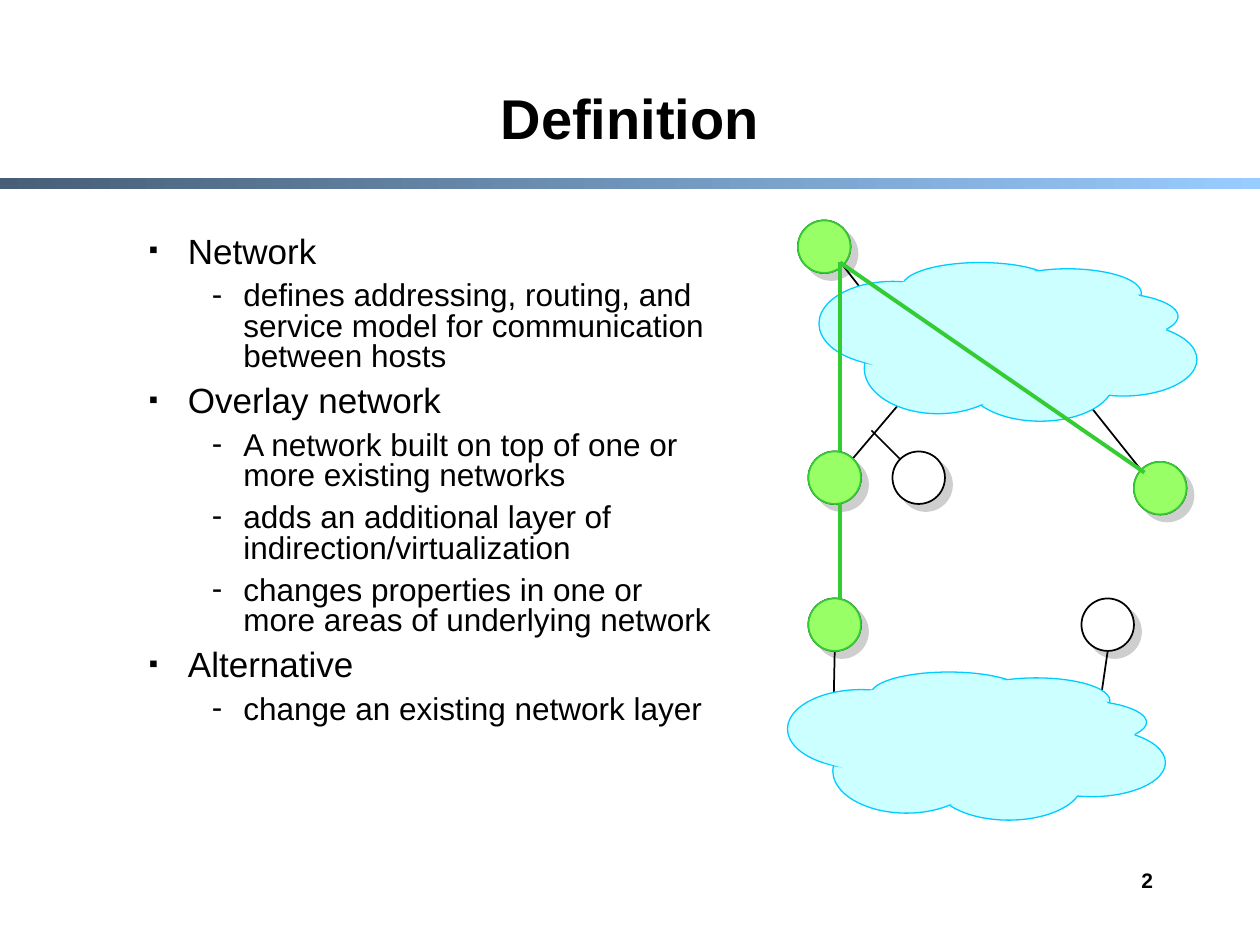
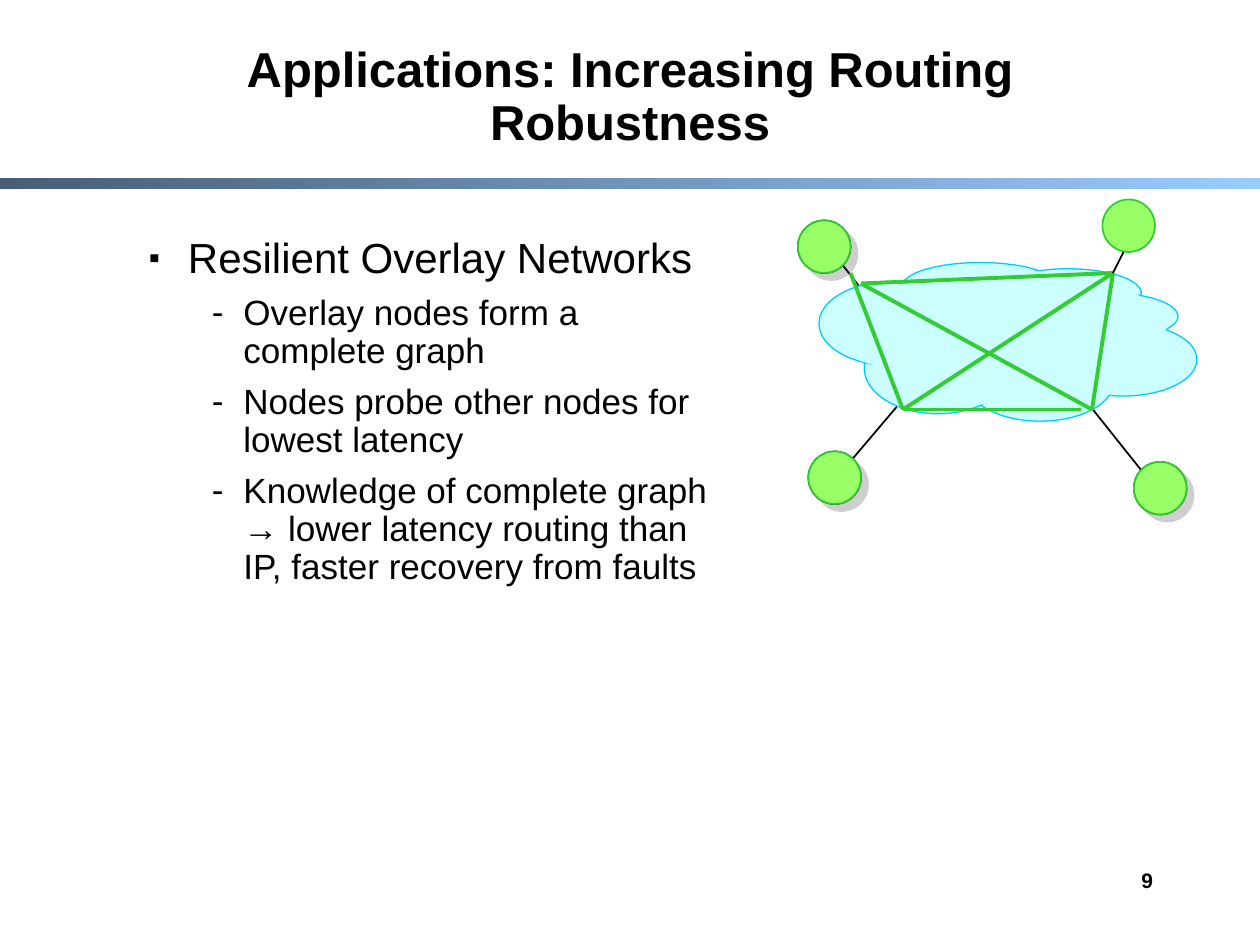
from lxml.etree import SubElement
from pptx import Presentation
from pptx.dml.color import RGBColor
from pptx.enum.shapes import MSO_CONNECTOR, MSO_SHAPE
from pptx.enum.text import MSO_ANCHOR, PP_ALIGN
from pptx.oxml.ns import qn
from pptx.util import Emu, Inches, Pt

# Grid: 120 columns by 90 rows, each cell 1/12 inch
COLS, ROWS = 120, 90
WIDTH, HEIGHT = Inches(10), Inches(7.5)
FONT = "Arial"
BLACK, WHITE = "000000", "FFFFFF"
NODE, LINK = "99FF66", "33CC33"
CLOUD, CLOUD_EDGE = "CCFFFF", "00CCFF"
SHADOW = "CECECE"
BAND = ("475E76", "99CCFF")
NODE_SIZE = 5

# Bullet styles by level: character, size in percent, left margin and indent in inches
BULLETS = (("▪", 75, 0.31, -0.31), ("-", 100, 0.75, -0.25))

# Cloud geometry in percent of the cloud's box
LOBES = (
    (22, 0, 41.3, 30.4), (46.3, 4, 39, 31), (56, 19, 39, 30.4),
    (61, 38.4, 39, 46.4), (39, 50.4, 39, 50.4), (12, 38.4, 39, 57.6),
    (0, 12, 39, 53.6),
)
CORE = (
    (12.3, 19), (29.3, 7.8), (44, 3.8), (73, 7.8), (83, 15.8), (87.7, 31),
    (92.7, 35), (87.7, 77.4), (56, 96.6), (24.3, 80.6), (14.7, 65.4), (9.7, 61.4),
)

# Node positions (column, row) of the upper network
NORTH_WEST, SOUTH_WEST, SOUTH_EAST = (76, 21), (77, 43), (108, 44)
UPPER_CLOUD = (78, 25, 36, 15)
LOWER_CLOUD = (75, 64, 36, 14)


def rgb(value):
    return RGBColor.from_string(value)


class Deck:
    """Holds the style and the current slide; lengths are grid cells."""

    def __init__(self):
        self.prs = Presentation()
        self.prs.slide_width, self.prs.slide_height = WIDTH, HEIGHT
        self.s = None

    def x(self, col):
        return Emu(round(WIDTH * col / COLS))

    def y(self, row):
        return Emu(round(HEIGHT * row / ROWS))

    def box(self, col, row, cols, rows):
        return self.x(col), self.y(row), self.x(cols), self.y(rows)

    def slide(self, title, size, number):
        """Start a slide with its band, page number and title."""
        self.s = self.prs.slides.add_slide(self.prs.slide_layouts[6])
        self.s.background.fill.solid()
        self.s.background.fill.fore_color.rgb = rgb(WHITE)
        self.band()
        tf = self.text_frame(86, 82, 25, 6)
        self.add_text(tf.paragraphs[0], number, 12, True, alignment=PP_ALIGN.RIGHT)
        tf = self.text_frame(13, 4, 94, 11, MSO_ANCHOR.BOTTOM)
        self.add_text(tf.paragraphs[0], title, size, True,
                      alignment=PP_ALIGN.CENTER, line_spacing=0.9)

    def band(self):
        sp = self.s.shapes.add_shape(MSO_SHAPE.RECTANGLE, *self.box(0, 17, COLS, 1))
        sp.shadow.inherit = False
        sp.line.fill.background()
        sp.fill.gradient()
        sp.fill.gradient_angle = 0
        for stop, color in zip(sp.fill.gradient_stops, BAND):
            stop.color.rgb = rgb(color)

    def text_frame(self, col, row, cols, rows, anchor=MSO_ANCHOR.TOP):
        tf = self.s.shapes.add_textbox(*self.box(col, row, cols, rows)).text_frame
        tf.word_wrap = True
        tf.vertical_anchor = anchor
        return tf

    def add_text(self, p, text, size, bold=False, **paragraph_format):
        for name, value in paragraph_format.items():
            setattr(p, name, value)
        r = p.add_run()
        r.text = text
        font = {"name": FONT, "size": Pt(size), "bold": bold}
        for name, value in font.items():
            setattr(r.font, name, value)
        r.font.color.rgb = rgb(BLACK)

    def body(self, items, sizes, spacing, before):
        """Bulleted text; items are (level, text)."""
        tf = self.text_frame(13, 22, 57, 52)
        for i, (level, text) in enumerate(items):
            p = tf.add_paragraph() if i else tf.paragraphs[0]
            self.add_text(p, text, sizes[level], level=level, line_spacing=spacing,
                          space_before=Pt(before[level]))
            self.bullet(p, *BULLETS[level])

    def bullet(self, p, char, percent, margin, indent):
        ppr = p._p.get_or_add_pPr()
        ppr.set("marL", str(Inches(margin)))
        ppr.set("indent", str(Inches(indent)))
        color = SubElement(ppr, qn("a:buClr"))
        SubElement(color, qn("a:srgbClr"), val=BLACK)
        SubElement(ppr, qn("a:buSzPct"), val=str(percent * 1000))
        SubElement(ppr, qn("a:buFont"), typeface=FONT)
        SubElement(ppr, qn("a:buChar"), char=char)

    def ellipse(self, shapes, box, fill, line, width):
        sp = shapes.add_shape(MSO_SHAPE.OVAL, *self.box(*box))
        sp.shadow.inherit = False
        sp.fill.solid()
        sp.fill.fore_color.rgb = rgb(fill)
        sp.line.color.rgb = rgb(line)
        sp.line.width = Pt(width)
        return sp

    def host(self, col, row):
        """White node with a hard shadow."""
        sp = self.ellipse(self.s.shapes, (col, row, NODE_SIZE, NODE_SIZE), WHITE, BLACK, 1)
        effects = sp._element.spPr.find(qn("a:effectLst"))
        shadow = SubElement(effects, qn("a:outerShdw"), blurRad="0",
                            dist=str(Pt(5.7)), dir=str(45 * 60000),
                            algn="ctr", rotWithShape="0")
        SubElement(shadow, qn("a:srgbClr"), val=SHADOW)

    def overlay_node(self, col, row):
        self.ellipse(self.s.shapes, (col, row, NODE_SIZE, NODE_SIZE), NODE, LINK, 1)

    def line(self, start, end, color=BLACK, width=1):
        c = self.s.shapes.add_connector(
            MSO_CONNECTOR.STRAIGHT, self.x(start[0]), self.y(start[1]),
            self.x(end[0]), self.y(end[1]))
        c.line.color.rgb = rgb(color)
        c.line.width = Pt(width)
        SubElement(c._element.spPr, qn("a:effectLst"))

    def overlay_link(self, start, end):
        self.line(start, end, LINK, 2.25)

    def cloud(self, col, row, cols, rows):
        """Outlined lobes with a plain core that hides their inner edges."""
        shapes = self.s.shapes.add_group_shape().shapes
        for left, top, width, height in LOBES:
            box = (col + cols * left / 100, row + rows * top / 100,
                   cols * width / 100, rows * height / 100)
            self.ellipse(shapes, box, CLOUD, CLOUD_EDGE, 0.75)
        points = [(self.x(col + cols * px / 100), self.y(row + rows * py / 100))
                  for px, py in CORE]
        builder = shapes.build_freeform(*points[0])
        builder.add_line_segments(points[1:], close=True)
        sp = builder.convert_to_shape()
        sp.shadow.inherit = False
        sp.fill.solid()
        sp.fill.fore_color.rgb = rgb(CLOUD)
        sp.line.fill.background()

    def upper_network(self):
        """The three hosts and the cloud that both slides show."""
        for node in (SOUTH_WEST, SOUTH_EAST, NORTH_WEST):
            self.host(*node)
        self.line((86.8, 37.1), (81.2, 43.7))
        self.line((104, 38.9), (108.7, 44.8))
        self.line((80.3, 25.3), (82.4, 28))
        self.cloud(*UPPER_CLOUD)


def definition(deck):
    deck.slide("Definition", 32, "2")
    deck.body([
        (0, "Network"),
        (1, "defines addressing, routing, and service model for communication between hosts"),
        (0, "Overlay network"),
        (1, "A network built on top of one or more existing networks"),
        (1, "adds an additional layer of indirection/virtualization"),
        (1, "changes properties in one or more areas of underlying network"),
        (0, "Alternative"),
        (1, "change an existing network layer"),
    ], sizes=(20, 18), spacing=0.8, before=(7.5, 6.8))

    # Underlying networks
    south, lower_east = (77, 57), (103, 57)
    deck.host(85, 43)
    deck.line((83, 41), (85.7, 43.7))
    deck.upper_network()
    deck.host(*lower_east)
    deck.line((104.9, 66.1), (105.5, 62))
    deck.host(*south)
    deck.line((79.5, 62), (79.4, 66.7))
    deck.cloud(*LOWER_CLOUD)

    # Overlay
    for node in (SOUTH_EAST, NORTH_WEST, south, SOUTH_WEST):
        deck.overlay_node(*node)
    for start, end in (((80, 25), (109, 45)), ((80, 25), (80, 43)), ((80, 48), (80, 57))):
        deck.overlay_link(start, end)


def robustness(deck):
    deck.slide("Applications: Increasing Routing Robustness", 28, "9")
    deck.body([
        (0, "Resilient Overlay Networks"),
        (1, "Overlay nodes form a complete graph"),
        (1, "Nodes probe other nodes for lowest latency"),
        (1, "Knowledge of complete graph → lower latency routing than IP, "
            "faster recovery from faults"),
    ], sizes=(24, 20), spacing=0.9, before=(9, 7.5))

    deck.upper_network()

    # Complete graph between the overlay nodes
    for node in (SOUTH_EAST, NORTH_WEST, (105, 19), SOUTH_WEST):
        deck.overlay_node(*node)
    nw, ne, sw, se = (82, 27), (106, 26), (86, 39), (104, 39)
    for start, end in ((nw, ne), ((81, 26), sw), (nw, se), (ne, sw), (se, ne),
                       ((103, 39), sw)):
        deck.overlay_link(start, end)
    deck.line((107, 24), ne)


def main():
    deck = Deck()
    definition(deck)
    robustness(deck)
    deck.prs.save("out.pptx")


if __name__ == "__main__":
    main()
